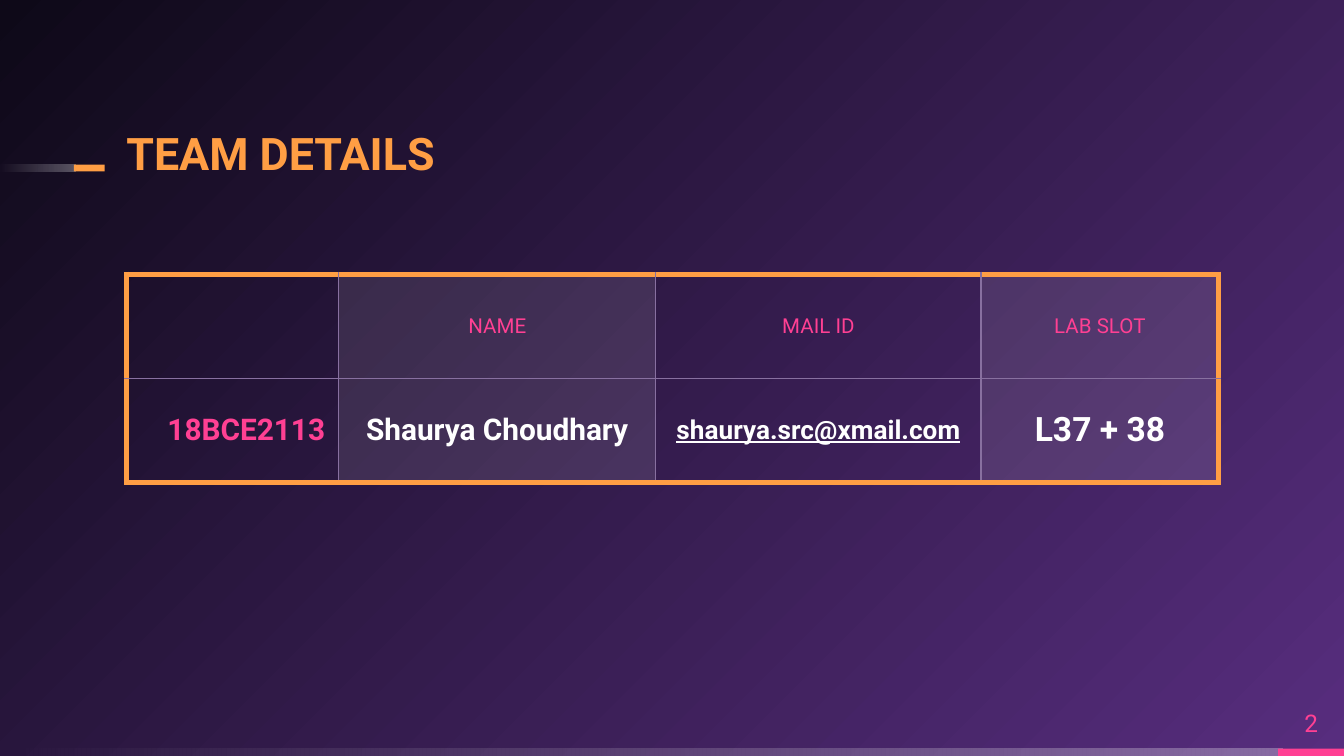
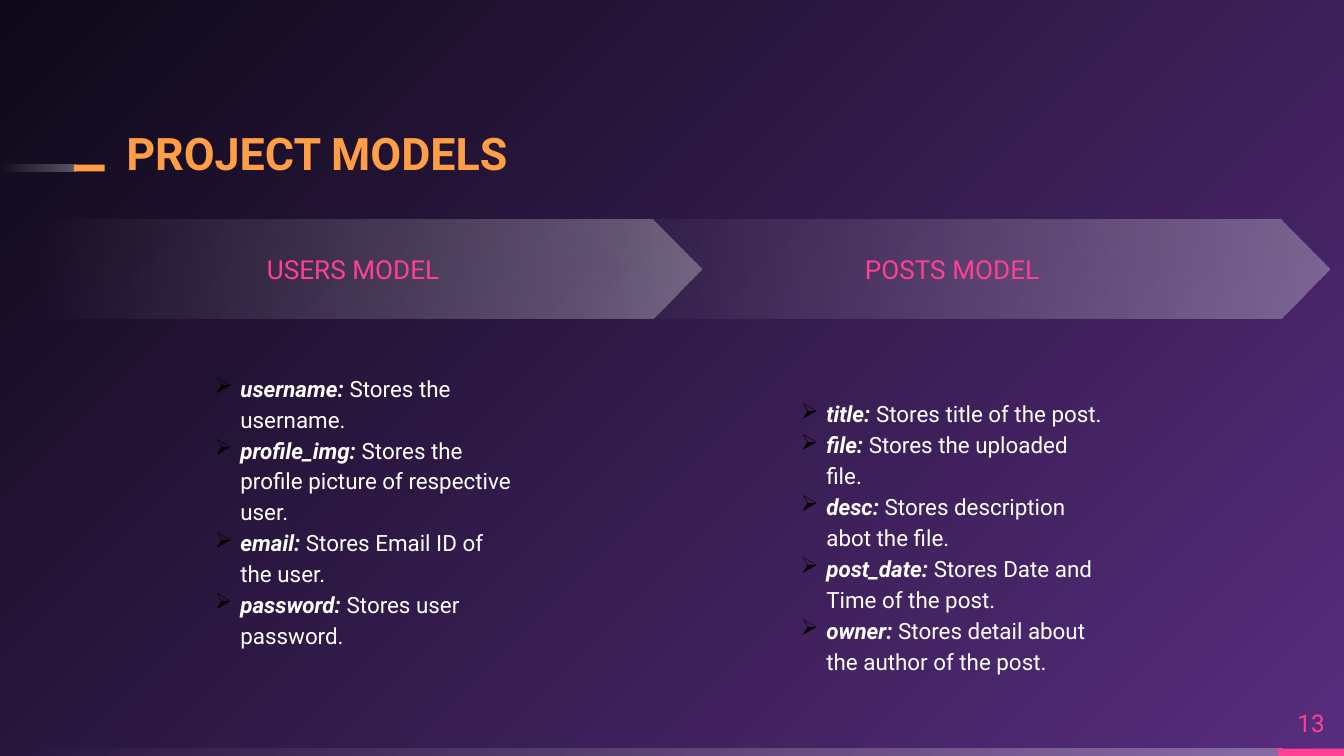
from lxml import etree
from pptx import Presentation
from pptx.dml.color import RGBColor as Rgb
from pptx.enum.shapes import MSO_SHAPE as Kind
from pptx.enum.text import MSO_ANCHOR as Anchor, PP_ALIGN as Align
from pptx.oxml import parse_xml
from pptx.oxml.ns import nsdecls, qn
from pptx.util import Inches, Pt

COLS, ROWS = 100, 56.25
CELL = Inches(0.1)
FONT = "Roboto"
HUES = {
    "orange": "FF9E44",
    "pink": "FF4093",
    "white": "FFFFFF",
    "black": "000000",
    "rule": "8870A0",
    "violet": "572D7E",
    "night": "0E0918",
}
FADE = [(0, "white", 30), (100, "white", 0)]
GLOW = [(0, "violet", 100), (100, "night", 100)]
LEFT = '<a:lin ang="10800000" scaled="0"/>'
CORNER = '<a:path path="circle"><a:fillToRect l="100000" t="100000"/></a:path>'


def grid(n):
    return int(n * CELL)


def node(tag, body="", attrs=""):
    return parse_xml(f'<a:{tag} {nsdecls("a")} {attrs}>{body}</a:{tag}>')


def tint(hue, alpha=100):
    """Return the XML of a colour with its opacity in percent."""
    return (f'<a:srgbClr val="{HUES[hue]}">'
            f'<a:alpha val="{alpha * 1000}"/></a:srgbClr>')


def blend(fill, root, stops, way):
    """Make fill, which lies under root, a gradient that runs along way."""
    fill.gradient()
    grad = root.find(".//" + qn("a:gradFill"))
    for part in list(grad):
        grad.remove(part)
    marks = "".join(f'<a:gs pos="{pos * 1000}">{tint(hue, alpha)}</a:gs>'
                    for pos, hue, alpha in stops)
    grad.append(node("gsLst", marks))
    grad.append(etree.fromstring(way.replace(" ", f' {nsdecls("a")} ', 1)))


def put(para, text, size=12, hue="white", align=None, space=None, **font):
    """Add a run to a paragraph; font takes bold, italic and underline."""
    run = para.add_run()
    run.text = text
    run.font.name, run.font.size = FONT, Pt(size)
    run.font.color.rgb = Rgb.from_string(HUES[hue])
    for key, value in font.items():
        setattr(run.font, key, value)
    if align is not None:
        para.alignment = align
    if space:
        para.line_spacing = space


class Deck:
    def __init__(self):
        self.prs = Presentation()
        self.prs.slide_width = grid(COLS)
        self.prs.slide_height = grid(ROWS)
        self.slide = None

    def page(self, title, number):
        """Start a slide with its background, bands, title and number."""
        self.slide = self.prs.slides.add_slide(self.prs.slide_layouts[6])
        blend(self.slide.background.fill, self.slide.element, GLOW, CORNER)
        self.shape(0, 55.7, 95.4, 0.55)
        self.shape(95.1, 55.7, 4.9, 0.55, hue="pink")
        self.shape(0, 12.25, 5.6, 0.5)
        self.shape(5.5, 12.25, 2.3, 0.5, hue="orange")
        head = self.box(9.4, 9.1, 58, 4.3, anchor=Anchor.BOTTOM)
        put(head.paragraphs[0], title, 24, "orange", space=0.9, bold=True)
        foot = self.box(95.1, 51.9, 4.9, 3.8, anchor=Anchor.MIDDLE)
        put(foot.paragraphs[0], str(number), 13, "pink", Align.CENTER)

    def shape(self, x, y, w, h, kind=Kind.RECTANGLE, hue=None):
        """Draw a plain shape, which fades to the left if it has no hue."""
        item = self.slide.shapes.add_shape(kind, *map(grid, (x, y, w, h)))
        item.shadow.inherit = False
        item.line.fill.background()
        if hue:
            item.fill.solid()
            item.fill.fore_color.rgb = Rgb.from_string(HUES[hue])
        else:
            blend(item.fill, item.element, FADE, LEFT)
        return item

    def frame(self, item, pad, anchor):
        """Set the insets and anchor of an item's text."""
        text = item.text_frame
        text.word_wrap = True
        text.vertical_anchor = anchor
        text.margin_left = text.margin_right = grid(pad)
        text.margin_top = text.margin_bottom = grid(pad)
        return text

    def box(self, x, y, w, h, pad=0, anchor=Anchor.TOP):
        item = self.slide.shapes.add_textbox(*map(grid, (x, y, w, h)))
        return self.frame(item, pad, anchor)

    def arrow(self, x, w, kind, label):
        item = self.shape(x, 16.35, w, 7.35, kind)
        text = self.frame(item, 1, Anchor.MIDDLE)
        put(text.paragraphs[0], label, 14, "pink", Align.CENTER)

    def fields(self, x, y, h, items):
        """List the fields of a model, each with its purpose."""
        text = self.box(x, y, 24.5, h, pad=1)
        for i, (name, use) in enumerate(items):
            para = text.add_paragraph() if i else text.paragraphs[0]
            put(para, f"{name}: ", space=1.15, bold=True, italic=True)
            put(para, use)
            props = para._p.get_or_add_pPr()
            props.set("marL", str(grid(1.9)))
            props.set("indent", str(-grid(1.9)))
            props.append(node("buClr", tint("black")))
            props.append(node("buChar", attrs='char="➢"'))

    def table(self, x, y, wide, high, rows):
        """Draw a table with an orange rim; every second column is pale."""
        size = x, y, sum(wide), high * len(rows)
        grip = self.slide.shapes.add_table(len(rows), len(wide),
                                           *map(grid, size))
        table = grip.table
        table.first_row = table.horz_banding = False
        for col, width in zip(table.columns, wide):
            col.width = grid(width)
        for r, row in enumerate(rows):
            table.rows[r].height = grid(high)
            for c, (text, form) in enumerate(row):
                rims = {"L": c == 0, "R": c == len(wide) - 1,
                        "T": r == 0, "B": r == len(rows) - 1}
                self.cell(table.cell(r, c), rims, c % 2 == 1)
                if text:
                    put(table.cell(r, c).text_frame.paragraphs[0],
                        text, **form)

    def cell(self, cell, rims, pale):
        cell.vertical_anchor = Anchor.MIDDLE
        cell.margin_left = cell.margin_right = grid(1)
        cell.margin_top = cell.margin_bottom = grid(0.7)
        cell.fill.background()
        props = cell._tc.get_or_add_tcPr()
        if pale:
            props.remove(props.find(qn("a:noFill")))
            props.append(node("solidFill", tint("white", 10)))
        for i, (side, rim) in enumerate(rims.items()):
            hue, width = ("orange", 3) if rim else ("rule", 0.75)
            line = f"<a:solidFill>{tint(hue)}</a:solidFill>"
            props.insert(i, node(f"ln{side}", line, f'w="{Pt(width)}"'))


def team(deck):
    deck.page("TEAM DETAILS", 2)
    head = dict(size=11, hue="pink", align=Align.CENTER)
    body = dict(align=Align.CENTER, bold=True)
    deck.table(9.4, 20.4, [15.8, 23.6, 24.2, 17.7], 7.75, [
        [("", {}), ("NAME", head), ("MAIL ID", head), ("LAB SLOT", head)],
        [("18BCE2113",
          dict(size=16, hue="pink", align=Align.RIGHT, bold=True)),
         ("Shaurya Choudhary", dict(body, size=16)),
         ("shaurya.src@xmail.com", dict(body, size=14, underline=True)),
         ("L37 + 38", dict(body, size=18))],
    ])


def models(deck):
    deck.page("PROJECT MODELS", 13)
    deck.arrow(2.2, 50, Kind.PENTAGON, "USERS MODEL")
    deck.fields(15, 26.6, 25.4, [
        ("username", "Stores the username."),
        ("profile_img", "Stores the profile picture of respective user."),
        ("email", "Stores Email ID of the user."),
        ("password", "Stores user password."),
    ])
    deck.arrow(42.8, 56.1, Kind.CHEVRON, "POSTS MODEL")
    deck.fields(58.6, 28.5, 23.5, [
        ("title", "Stores title of the post."),
        ("file", "Stores the uploaded file."),
        ("desc", "Stores description abot the file."),
        ("post_date", "Stores Date and Time of the post."),
        ("owner", "Stores detail about the author of the post."),
    ])


def main():
    deck = Deck()
    team(deck)
    models(deck)
    deck.prs.save("out.pptx")


if __name__ == "__main__":
    main()
